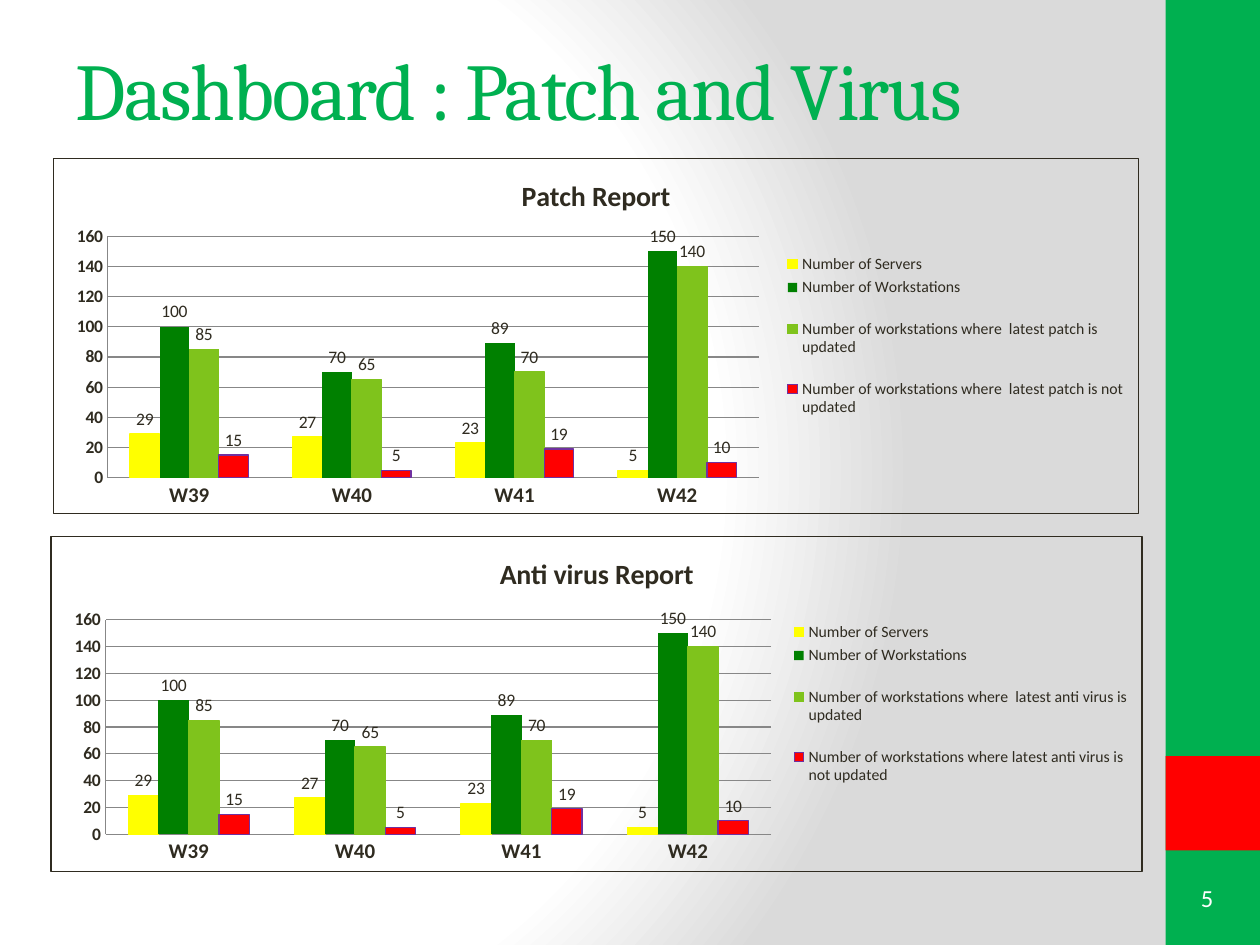
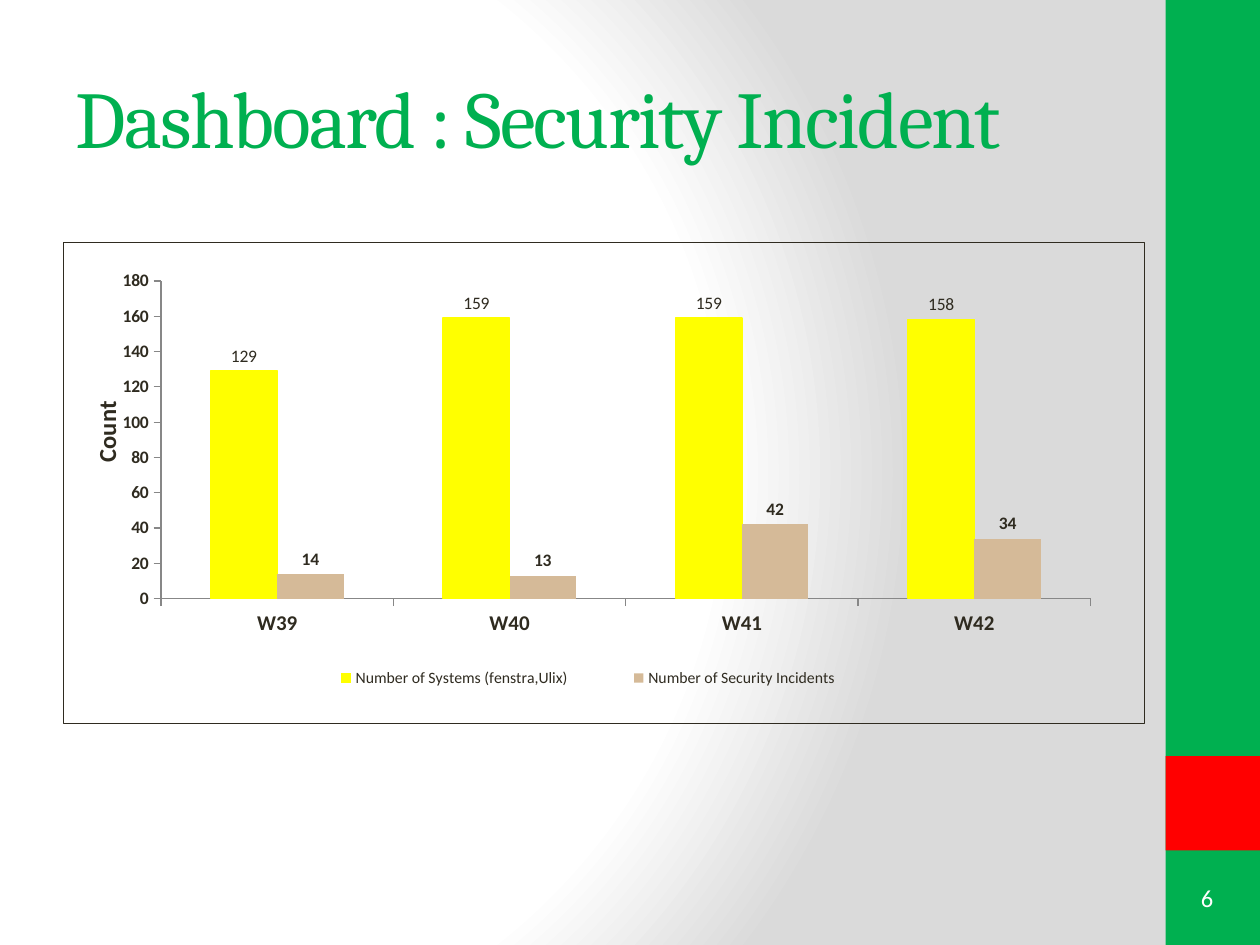
from lxml import etree
from pptx import Presentation
from pptx.chart.data import CategoryChartData
from pptx.dml.color import RGBColor
from pptx.enum import chart as ch, shapes, text
from pptx.oxml import ns, parse_xml
from pptx.util import Inches, Pt

GREEN = RGBColor(0x00, 0xB0, 0x50)
RED = RGBColor(0xFF, 0x00, 0x00)
WHITE = RGBColor(0xFF, 0xFF, 0xFF)
INK = RGBColor(0x2F, 0x2B, 0x20)
GREY = RGBColor(0x87, 0x87, 0x87)
YELLOW = RGBColor(0xFF, 0xFF, 0x00)
DARK_GREEN = RGBColor(0x00, 0x80, 0x00)
LIME = RGBColor(0x7F, 0xC3, 0x1C)
PURPLE = RGBColor(0x70, 0x30, 0xA0)
TAN = RGBColor(0xD5, 0xBA, 0x98)

TITLE_FORMAT = {"name": "Cambria", "size": Pt(46)}
NUMBER_FORMAT = {"name": "Calibri", "size": Pt(14)}
HEADING_FORMAT = {"name": "Calibri", "size": Pt(16), "bold": True}
SCALE_TITLE_FORMAT = {"name": "Calibri", "size": Pt(14), "bold": True}
CATEGORY_FORMAT = {"name": "Calibri", "size": Pt(12), "bold": True}
SCALE_FORMAT = {"name": "Calibri", "size": Pt(10), "bold": True}
LABEL_FORMAT = {"name": "Calibri", "size": Pt(10), "bold": False}
LEGEND_FORMAT = {"name": "Calibri", "size": Pt(9), "bold": False}

BACKGROUND = f"""<p:bg {ns.nsdecls('p', 'a')}><p:bgPr><a:gradFill rotWithShape="1"><a:gsLst>
<a:gs pos="0"><a:srgbClr val="FFFFFF"/></a:gs>
<a:gs pos="75000"><a:srgbClr val="FFFFFF"/></a:gs>
<a:gs pos="100000"><a:srgbClr val="DADADA"/></a:gs></a:gsLst>
<a:path path="circle"><a:fillToRect l="20000" t="50000" r="100000" b="50000"/></a:path>
</a:gradFill><a:effectLst/></p:bgPr></p:bg>"""
BORDER = f"""<c:spPr {ns.nsdecls('c', 'a')}><a:noFill/><a:ln w="9525">
<a:solidFill><a:srgbClr val="{INK}"/></a:solidFill></a:ln></c:spPr>"""

WEEKS = ["W39", "W40", "W41", "W42"]
SERVERS, WORKSTATIONS = [29, 27, 23, 5], [100, 70, 89, 150]
UPDATED, NOT_UPDATED = [85, 65, 70, 140], [15, 5, 19, 10]


def style(font, font_format, color=INK):
    for attribute, value in font_format.items():
        setattr(font, attribute, value)
    font.color.rgb = color


def place(part, before, box, inner=False):
    """Give a chart part a fixed position or box, in fractions of the chart."""
    for old in part.findall(ns.qn("c:layout")):
        part.remove(old)
    layout = etree.Element(ns.qn("c:layout"))
    manual = etree.SubElement(layout, ns.qn("c:manualLayout"))
    settings = [("layoutTarget", "inner")] if inner else []
    settings += [("xMode", "edge"), ("yMode", "edge"), *zip("xywh", box)]
    for tag, value in settings:
        etree.SubElement(manual, ns.qn(f"c:{tag}")).set("val", str(value))
    part.find(ns.qn(f"c:{before}")).addprevious(layout)


# Series: name, values, fill, outline, bold labels
shared_series = [("Number of Servers", SERVERS, YELLOW, YELLOW, False),
                 ("Number of Workstations\n", WORKSTATIONS, DARK_GREEN, None, False)]
update_reports = []
for report, box, plot_box, updated, not_updated in [
    ("Patch Report", (0.42, 1.25, 8.62, 2.83), (0.05, 0.22, 0.6, 0.68),
     "where  latest patch is updated\n", "where  latest patch is not updated"),
    ("Anti virus Report", (0.4, 4.25, 8.67, 2.67), (0.05, 0.25, 0.61, 0.64),
     "where  latest anti virus is updated\n", "where latest anti virus is not updated"),
]:
    update_reports.append({
        "heading": report, "box": box, "plot": plot_box, "top": 160,
        "series": shared_series + [
            (f"Number of workstations {updated}", UPDATED, LIME, LIME, False),
            (f"Number of workstations {not_updated}", NOT_UPDATED, RED, PURPLE, False)]})

incident_report = {
    "heading": None, "box": (0.5, 1.92, 8.59, 3.83), "plot": (0.09, 0.08, 0.86, 0.66),
    "top": 180, "scale_title": "Count", "legend": (0.2, 0.87, 0.57, 0.07),
    "series": [
        ("Number of Systems (fenstra,Ulix)", [129, 159, 159, 158], YELLOW, YELLOW, False),
        ("Number of Security Incidents", [14, 13, 42, 34], TAN, None, True)]}

dashboards = [("Dashboard : Patch and Virus", 0.08, update_reports),
              ("Dashboard : Security Incident", 0.3, [incident_report])]

prs = Presentation()
prs.slide_width, prs.slide_height = Inches(10), Inches(7.5)
title_only = prs.slide_layouts[5]

# Master: gradient background and the band on the right
master = prs.slide_master.element.cSld
for old in master.findall(ns.qn("p:bg")):
    master.remove(old)
master.insert(0, parse_xml(BACKGROUND))

for page, (heading, title_top, reports) in enumerate(dashboards, start=5):
    slide = prs.slides.add_slide(title_only)
    if page == 5:
        for position, (top, height, color) in enumerate([(0, 7.5, GREEN), (6, 0.75, RED)]):
            band = slide.shapes.add_shape(shapes.MSO_SHAPE.RECTANGLE, Inches(9.25),
                                          Inches(top), Inches(0.75), Inches(height))
            band.shadow.inherit = False
            band.fill.solid()
            band.fill.fore_color.rgb = color
            band.line.fill.background()
            master.spTree.insert(2 + position, band.element)

    title = slide.shapes.title
    title.left, title.top = Inches(0.5), Inches(title_top)
    title.width, title.height = Inches(8.33), Inches(1.25)
    title.text_frame.text = heading
    title.text_frame.vertical_anchor = text.MSO_ANCHOR.MIDDLE
    title_line = title.text_frame.paragraphs[0]
    title_line.alignment = text.PP_ALIGN.LEFT
    style(title_line.runs[0].font, TITLE_FORMAT, GREEN)
    title_line.runs[0].font._element.set("spc", "-100")

    number = slide.shapes.add_textbox(Inches(9.33), Inches(6.92), Inches(0.5), Inches(0.41))
    frame = number.text_frame
    frame.word_wrap = True
    frame.vertical_anchor = text.MSO_ANCHOR.MIDDLE
    frame.margin_left = frame.margin_right = frame.margin_top = frame.margin_bottom = 0
    frame.text = str(page)
    frame.paragraphs[0].alignment = text.PP_ALIGN.CENTER
    style(frame.paragraphs[0].runs[0].font, NUMBER_FORMAT, WHITE)

    for report in reports:
        counts = CategoryChartData()
        counts.categories = WEEKS
        for name, values, *_ in report["series"]:
            counts.add_series(name, values)
        chart = slide.shapes.add_chart(ch.XL_CHART_TYPE.COLUMN_CLUSTERED,
                                       *map(Inches, report["box"]), counts).chart
        style(chart.font, NUMBER_FORMAT)
        chart.element.find(ns.qn("c:txPr")).addprevious(parse_xml(BORDER))

        chart.has_title = report["heading"] is not None
        if chart.has_title:
            chart.chart_title.text_frame.text = report["heading"]
            style(chart.chart_title.text_frame.paragraphs[0].runs[0].font, HEADING_FORMAT)
            chart.chart_title.include_in_layout = False

        weeks, scale = chart.category_axis, chart.value_axis
        is_update = "scale_title" not in report
        tick = ch.XL_TICK_MARK.NONE if is_update else ch.XL_TICK_MARK.OUTSIDE
        for axis, axis_format in [(weeks, CATEGORY_FORMAT), (scale, SCALE_FORMAT)]:
            axis.major_tick_mark, axis.minor_tick_mark = tick, ch.XL_TICK_MARK.NONE
            axis.format.line.color.rgb = GREY
            style(axis.tick_labels.font, axis_format)
        scale.minimum_scale, scale.maximum_scale, scale.major_unit = 0, report["top"], 20
        scale.has_major_gridlines = is_update
        if is_update:
            scale.major_gridlines.format.line.color.rgb = GREY
        else:
            scale.axis_title.text_frame.text = report["scale_title"]
            style(scale.axis_title.text_frame.paragraphs[0].runs[0].font, SCALE_TITLE_FORMAT)
            place(scale.axis_title._element, "overlay", (0.02, 0.32))

        columns = chart.plots[0]
        columns.gap_width, columns.overlap, columns.vary_by_categories = 150, 0, False
        for series, (_, _, fill, outline, bold) in zip(columns.series, report["series"]):
            series.format.fill.solid()
            series.format.fill.fore_color.rgb = fill
            if outline is None:
                series.format.line.fill.background()
            else:
                series.format.line.color.rgb = outline
                series.format.line.width = Pt(0.75)
            labels = series.data_labels
            labels.show_value = True
            labels.position = ch.XL_LABEL_POSITION.OUTSIDE_END
            style(labels.font, {**LABEL_FORMAT, "bold": bold})

        chart.has_legend = True
        legend = chart.legend
        legend.position = ch.XL_LEGEND_POSITION.RIGHT if is_update else ch.XL_LEGEND_POSITION.BOTTOM
        legend.include_in_layout = False
        style(legend.font, LEGEND_FORMAT)
        if "legend" in report:
            place(legend._element, "overlay", report["legend"])
        place(chart.element.chart.plotArea, "barChart", report["plot"], inner=True)

prs.save("out.pptx")
